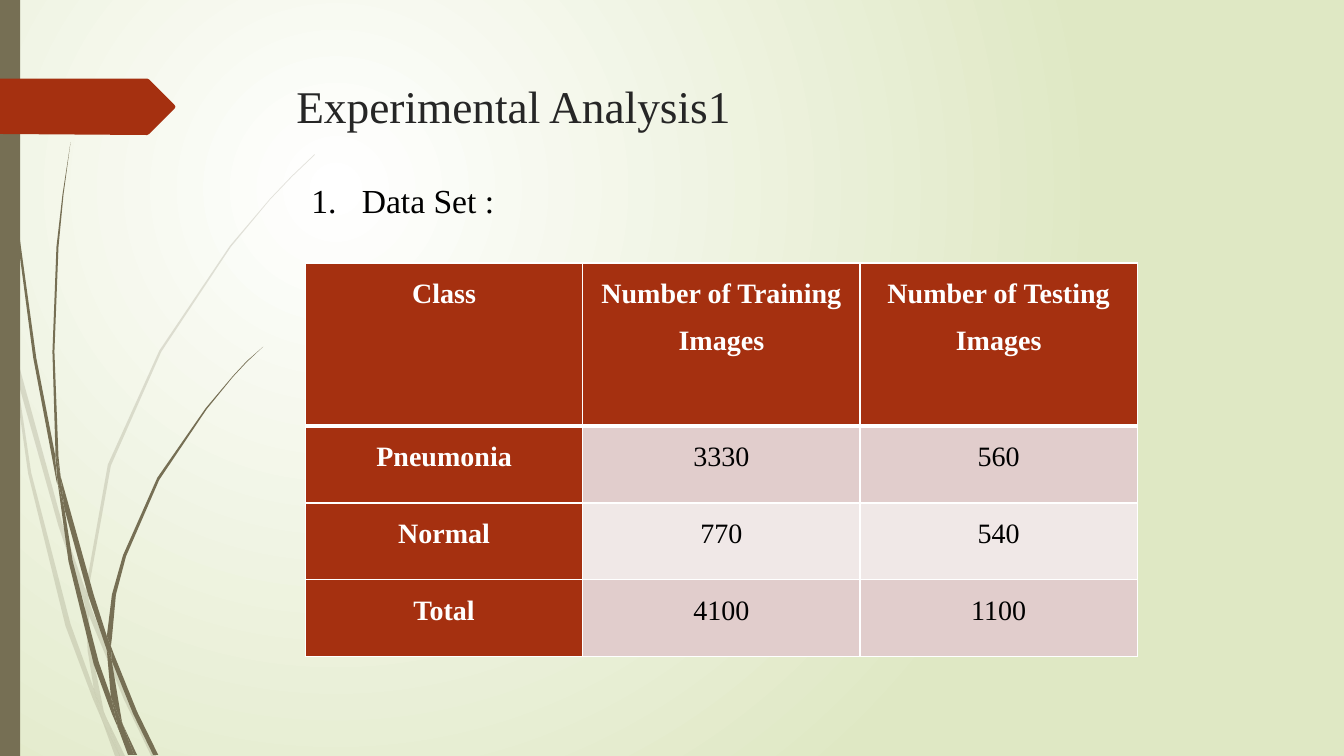
from collections import namedtuple

from lxml import etree
from pptx import Presentation
from pptx import util as u
from pptx.dml.color import RGBColor
from pptx.enum import shapes, text
from pptx.oxml import ns, parse_xml

Box = namedtuple("Box", "left top width height")

FONT = "Times New Roman"
COLORS = {
    "white": "FFFFFF", "mist": "DFE8C4", "olive": "766F54", "rust": "A53010",
    "title": "262626", "black": "000000", "rose": "E1CDCC", "blush": "F0E8E7",
}

# Outlines of the grass blades, as corner points in inches
PALE_BLADES = [
    [(.58, 5.22), (.84, 5.99), (.85, 5.86), (.62, 5.2), (.14, 3.45), (.17, 3.76)],
    [(.92, 6.07), (.88, 5.96), (.88, 6.1), (1.23, 6.94), (1.5, 7.5), (1.55, 7.5),
     (1.27, 6.92)],
    [(1.19, 7.5), (1.24, 7.5), (1.05, 7.11)],
    [(.93, 6.83), (.7, 6.19), (.31, 4.69), (.17, 3.76), (.11, 3.5), (.28, 4.7),
     (.65, 6.21), (.92, 6.93), (1.01, 7.14), (.99, 7.07)],
    [(.84, 5.99), (.87, 6.46), (.93, 6.83), (.96, 6.92), (1.05, 7.11), (1.03, 7.06),
     (.91, 6.46), (.88, 6.1), (.88, 6.08)],
    [(.88, 5.84), (1.1, 4.62), (1.6, 3.49), (2.29, 2.45), (2.68, 1.98), (2.9, 1.75),
     (3.12, 1.54), (3.12, 1.53), (2.89, 1.75), (2.68, 1.97), (2.28, 2.44),
     (1.58, 3.48), (1.07, 4.61), (.85, 5.84), (.85, 5.86), (.88, 5.96)],
    [(1.01, 7.14), (1.14, 7.5), (1.19, 7.5)],
    [(.88, 6.08), (.88, 6.1), (.88, 5.96), (.85, 5.86), (.84, 5.99)],
    [(.96, 6.92), (.93, 6.83), (.99, 7.07), (1.01, 7.14), (1.19, 7.5), (1.05, 7.11)],
]
DARK_BLADES = [
    [(.07, 1.1), (.17, 2.33), (.33, 3.55), (.56, 4.77), (.57, 4.81), (.55, 4.57),
     (.55, 4.53), (.36, 3.55), (.19, 2.32), (.08, 1.09), (.05, .48), (.04, 0),
     (.03, 0), (.04, .48)],
    [(.88, 5.92), (1.06, 6.45), (1.06, 6.33), (1.06, 6.31), (.93, 5.9), (.6, 4.72),
     (.64, 5.05)],
    [(1.13, 6.49), (1.1, 6.41), (1.11, 6.56), (1.32, 7.08), (1.52, 7.49),
     (1.57, 7.49), (1.36, 7.06)],
    [(1.1, 6.91), (.98, 6.57), (.72, 5.56), (.64, 5.05), (.57, 4.77), (.68, 5.57),
     (.93, 6.59), (1.11, 7.08), (1.17, 7.22), (1.16, 7.17)],
    [(.6, 4.72), (.58, 4.53), (.54, 3.49), (.58, 2.45), (.63, 1.93), (.7, 1.41),
     (.62, 1.93), (.56, 2.45), (.52, 3.49), (.55, 4.49)],
    [(1.33, 7.49), (1.36, 7.49), (1.22, 7.19)],
    [(.57, 4.77), (.64, 5.05), (.6, 4.72), (.55, 4.49), (.55, 4.53)],
    [(1.11, 6.33), (1.15, 5.9), (1.25, 5.52), (1.58, 4.76), (2.05, 4.06),
     (2.31, 3.74), (2.45, 3.59), (2.61, 3.44), (2.45, 3.58), (2.31, 3.73),
     (2.04, 4.05), (1.56, 4.74), (1.22, 5.51), (1.11, 5.9), (1.06, 6.31), (1.1, 6.41)],
    [(1.17, 7.22), (1.27, 7.49), (1.31, 7.49)],
    [(1.06, 6.45), (1.1, 6.91), (1.16, 7.06), (1.22, 7.19), (1.21, 7.16),
     (1.11, 6.56), (1.09, 6.51)],
    [(1.06, 6.45), (1.09, 6.51), (1.11, 6.56), (1.1, 6.41), (1.06, 6.31), (1.06, 6.33)],
    [(1.16, 7.06), (1.1, 6.91), (1.16, 7.17), (1.17, 7.22), (1.3, 7.49), (1.33, 7.49),
     (1.22, 7.19)],
]

DATA_SET = [
    ("Class", "Number of Training Images", "Number of Testing Images"),
    ("Pneumonia", "3330", "560"),
    ("Normal", "770", "540"),
    ("Total", "4100", "1100"),
]


def rgb(name):
    return RGBColor.from_string(COLORS[name])


def inches(box):
    return [u.Inches(length) for length in box]


def paint(shape, color):
    shape.shadow.inherit = False
    shape.fill.solid()
    shape.fill.fore_color.rgb = rgb(color)
    shape.line.fill.background()


def add_outline(parent, box, points, color, opacity=100):
    corners = [(u.Inches(box.left + x), u.Inches(box.top + y)) for x, y in points]
    builder = parent.build_freeform(*corners[0])
    builder.add_line_segments(corners[1:], close=True)
    outline = builder.convert_to_shape()
    paint(outline, color)
    if opacity < 100:
        tint = outline.element.spPr.find(".//" + ns.qn("a:srgbClr"))
        etree.SubElement(tint, ns.qn("a:alpha"), val=str(opacity * 1000))


def style(para, size, color, bold=False):
    para.font.name = FONT
    para.font.size = u.Pt(size)
    para.font.bold = bold
    para.font.color.rgb = rgb(color)


def add_background(page):
    fill = page.background.fill
    fill.gradient()
    gradient = page.element.find(".//" + ns.qn("a:gradFill"))
    glow = parse_xml(
        f'<a:gradFill {ns.nsdecls("a")} rotWithShape="1"><a:gsLst>'
        f'<a:gs pos="0"><a:srgbClr val="{COLORS["white"]}"/></a:gs>'
        f'<a:gs pos="100000"><a:srgbClr val="{COLORS["mist"]}"/></a:gs></a:gsLst>'
        '<a:path path="circle">'
        '<a:fillToRect l="50000" t="50000" r="100000" b="100000"/></a:path></a:gradFill>')
    gradient.getparent().replace(gradient, glow)


def add_decoration(page, box):
    # Grass
    for blades, opacity in ((PALE_BLADES, 20), (DARK_BLADES, 100)):
        tuft = page.shapes.add_group_shape()
        for points in blades:
            add_outline(tuft.shapes, box, points, "olive", opacity)
    # Side bar
    bar = page.shapes.add_shape(
        shapes.MSO_SHAPE.RECTANGLE, *inches(box._replace(width=0.2)))
    paint(bar, "olive")
    # Pointed tag
    tag = [(0, .78), (1.46, .78), (1.48, .79), (1.73, 1.04), (1.74, 1.06),
           (1.73, 1.08), (1.48, 1.33), (1.46, 1.34), (0, 1.33)]
    add_outline(page.shapes, box, tag, "rust")


def add_title(page, box):
    frame = page.shapes.add_textbox(*inches(box)).text_frame
    frame.word_wrap = True
    frame.margin_top = u.Inches(0.1)
    para = frame.paragraphs[0]
    para.text = "Experimental Analysis1"
    style(para, 32.4, "title")


def add_list_heading(page, box):
    frame = page.shapes.add_textbox(*inches(box)).text_frame
    frame.word_wrap = False
    frame.auto_size = text.MSO_AUTO_SIZE.SHAPE_TO_FIT_TEXT
    para = frame.paragraphs[0]
    para.text = "Data Set :"
    style(para, 24, "black")
    props = para._p.get_or_add_pPr()
    props.set("marL", str(u.Inches(0.5)))
    props.set("indent", str(u.Inches(-0.5)))
    props.insert(0, parse_xml(
        f'<a:buAutoNum {ns.nsdecls("a")} type="arabicPeriod"/>'))


def add_borders(cell, top, bottom):
    props = cell._tc.get_or_add_tcPr()
    for side, points in (("L", 1), ("R", 1), ("T", top), ("B", bottom)):
        props.append(parse_xml(
            f'<a:ln{side} {ns.nsdecls("a")} w="{u.Pt(points)}"><a:solidFill>'
            f'<a:srgbClr val="{COLORS["white"]}"/></a:solidFill></a:ln{side}>'))


def add_data_table(page, box):
    header_height = 1.62
    table = page.shapes.add_table(len(DATA_SET), len(DATA_SET[0]), *inches(box)).table
    table.first_col = True
    body_height = (box.height - header_height) / (len(DATA_SET) - 1)
    for i, values in enumerate(DATA_SET):
        table.rows[i].height = u.Inches(body_height if i else header_height)
        for j, value in enumerate(values):
            cell = table.cell(i, j)
            heading = i == 0 or j == 0
            add_borders(cell, 3 if i == 1 else 1, 3 if i == 0 else 1)
            cell.fill.solid()
            cell.fill.fore_color.rgb = rgb(
                "rust" if heading else "rose" if i % 2 else "blush")
            cell.margin_left = cell.margin_right = u.Inches(0.07)
            cell.margin_top = cell.margin_bottom = 0
            para = cell.text_frame.paragraphs[0]
            para.text = value
            para.alignment = text.PP_ALIGN.CENTER
            para.line_spacing = 1.5
            style(para, 20, "white" if heading else "black", heading)


def main():
    deck = Presentation()
    deck.slide_width, deck.slide_height = u.Inches(13.33), u.Inches(7.5)
    page = deck.slides.add_slide(deck.slide_layouts[6])
    add_background(page)
    add_decoration(page, Box(0, 0, 3.12, 7.5))
    add_title(page, Box(2.84, 0.68, 9.75, 0.93))
    add_data_table(page, Box(3.03, 2.61, 8.25, 3.9))
    add_list_heading(page, Box(2.99, 1.74, 2.03, 0.5))
    deck.save("out.pptx")


if __name__ == "__main__":
    main()
